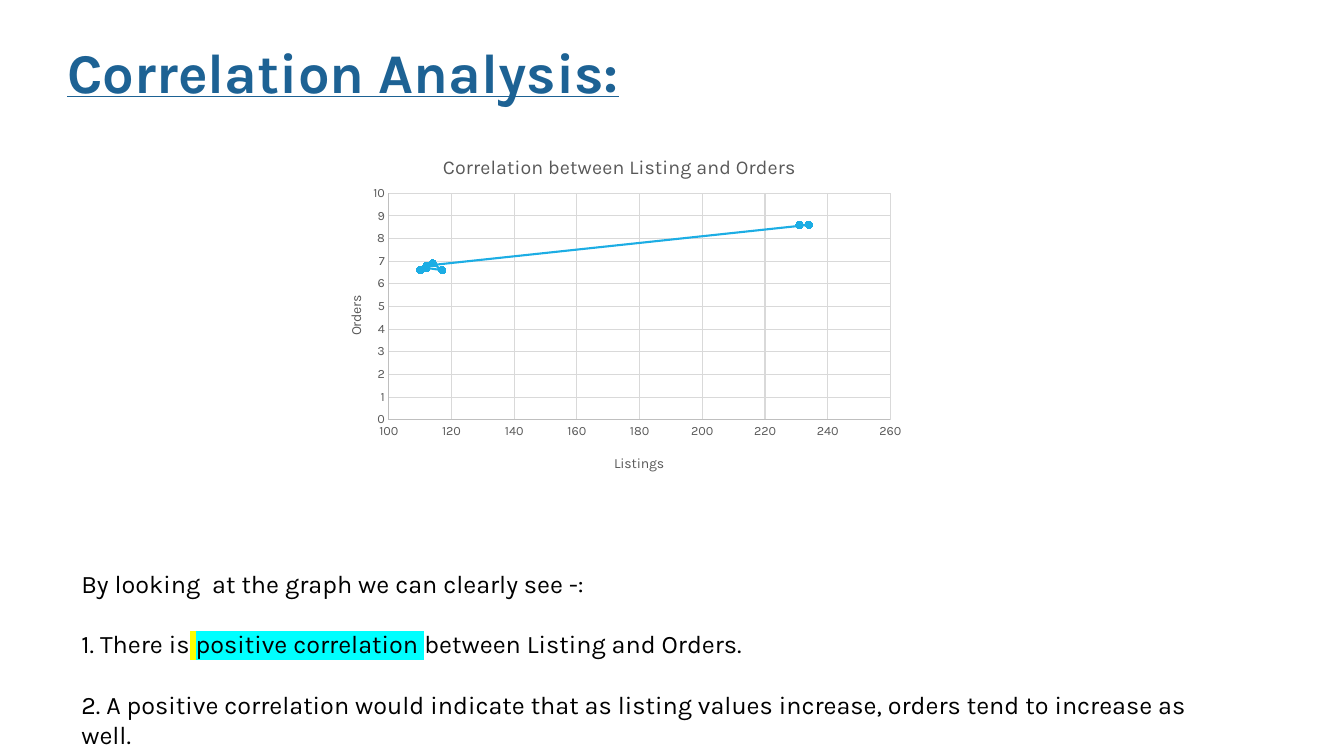
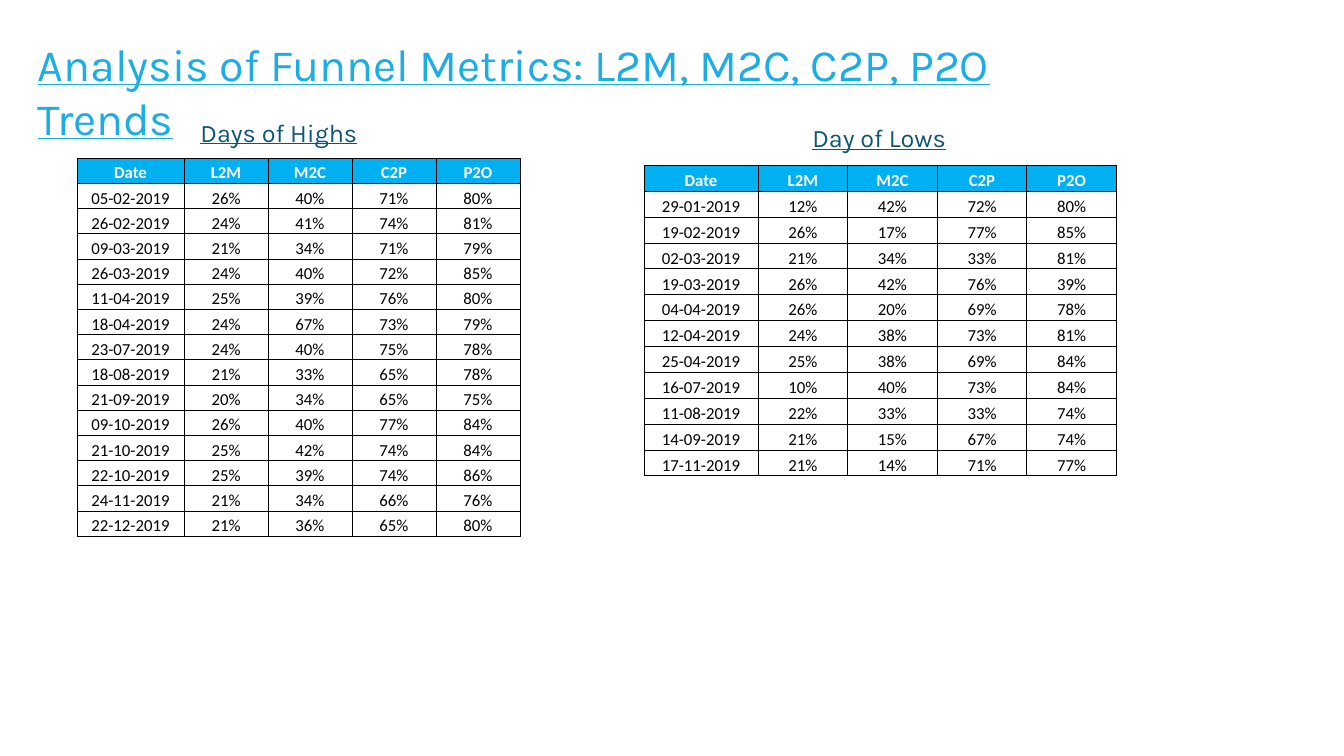
from dataclasses import dataclass

from lxml import etree
from pptx import Presentation
from pptx.chart.data import XyChartData
from pptx.dml.color import RGBColor
from pptx.enum import chart as kinds, text
from pptx.oxml import ns
from pptx.util import Pt


@dataclass(frozen=True)
class Theme:
    font: str = "Karla"
    grid_font: str = "Calibri"
    black: str = "000000"
    white: str = "FFFFFF"
    navy: str = "1D6294"
    sky: str = "1CADE4"
    teal: str = "0E5772"
    head: str = "00B0F0"
    gray: str = "595959"
    axis: str = "BFBFBF"
    grid: str = "D9D9D9"
    yellow: str = "FFFF00"
    cyan: str = "00FFFF"
    body: int = 18
    cell: int = 12
    chart: int = 14
    label: int = 10
    tick: int = 9


T = Theme()
SIZE = (960, 540)

# Each title: text, box, size, colour, bold
TITLES = [
    ("Correlation Analysis:", (41, 23, 467, 78), 40, T.navy, True),
    ("Analysis of Funnel Metrics: L2M, M2C, C2P, P2O Trends",
     (20, 23, 777, 46), 32, T.sky, False),
]

# Each paragraph is a list of (text, highlight)
NOTES = [
    [("By looking  at the graph we can clearly see -:", None)],
    [("1. There is", None), (" ", T.yellow),
     ("positive correlation ", T.cyan),
     ("between Listing and Orders.", None)],
    [("2. A positive correlation would indicate that as listing values "
      "increase, orders tend to increase as well.", None)],
]
NOTE_BOX = (51, 402.5, 831, 117)

POINTS = [(112, 6.7), (117, 6.6), (114, 6.9), (110, 6.6), (112, 6.8),
          (234, 8.6), (231, 8.6)]
CHART_BOX = (229, 95, 424, 253)
CHART_TITLE = ("Correlation between Listing and Orders", (0.2, 0.05))
# Each axis: title, its place in the chart, lowest, highest, step
AXES = [
    ("Listings", (0.49, 0.9), 100, 260, 20),
    ("Orders", (0.04, 0.45), 0, 10, 1),
]
PLOT = (0.115, 0.17, 0.845, 0.64)

HEADS = ["Date", "L2M", "M2C", "C2P", "P2O"]
HIGHS = [
    ("05-02-2019", 26, 40, 71, 80),
    ("26-02-2019", 24, 41, 74, 81),
    ("09-03-2019", 21, 34, 71, 79),
    ("26-03-2019", 24, 40, 72, 85),
    ("11-04-2019", 25, 39, 76, 80),
    ("18-04-2019", 24, 67, 73, 79),
    ("23-07-2019", 24, 40, 75, 78),
    ("18-08-2019", 21, 33, 65, 78),
    ("21-09-2019", 20, 34, 65, 75),
    ("09-10-2019", 26, 40, 77, 84),
    ("21-10-2019", 25, 42, 74, 84),
    ("22-10-2019", 25, 39, 74, 86),
    ("24-11-2019", 21, 34, 66, 76),
    ("22-12-2019", 21, 36, 65, 80),
]
LOWS = [
    ("29-01-2019", 12, 42, 72, 80),
    ("19-02-2019", 26, 17, 77, 85),
    ("02-03-2019", 21, 34, 33, 81),
    ("19-03-2019", 26, 42, 76, 39),
    ("04-04-2019", 26, 20, 69, 78),
    ("12-04-2019", 24, 38, 73, 81),
    ("25-04-2019", 25, 38, 69, 84),
    ("16-07-2019", 10, 40, 73, 84),
    ("11-08-2019", 22, 33, 33, 74),
    ("14-09-2019", 21, 15, 67, 74),
    ("17-11-2019", 21, 14, 71, 77),
]
# Each table: caption, caption box, rows, left, top, date width, width, height
TABLES = [
    ("Days of Highs", (119, 80, 160.5, 29), HIGHS, 55, 113, 76.5, 60, 18),
    ("Day of Lows", (541, 84, 174, 29), LOWS, 460, 118, 81.5, 64, 18.5),
]


def pts(nums):
    return [Pt(n) for n in nums]


def paint(font, size, color, name=T.font, bold=False, line=False):
    font.size, font.name = Pt(size), name
    font.bold, font.underline = bold, line
    font.color.rgb = RGBColor.from_string(color)


def stroke(line, color, width):
    line.color.rgb = RGBColor.from_string(color)
    line.width = Pt(width)


def fill(part, color):
    part.fill.solid()
    part.fill.fore_color.rgb = RGBColor.from_string(color)


def add_box(slide, box):
    frame = slide.shapes.add_textbox(*pts(box)).text_frame
    frame.word_wrap = True
    frame.auto_size = text.MSO_AUTO_SIZE.SHAPE_TO_FIT_TEXT
    return frame


def add_line(slide, words, box, size, color, bold=False, align=None):
    """Add one underlined heading."""
    para = add_box(slide, box).paragraphs[0]
    para.text, para.alignment = words, align
    paint(para.runs[0].font, size, color, bold=bold, line=True)


def mark(run, color):
    """Highlight a run whose colour is already set."""
    glow = etree.Element(ns.qn("a:highlight"))
    etree.SubElement(glow, ns.qn("a:srgbClr"), val=color)
    run.font._element.find(ns.qn("a:solidFill")).addnext(glow)


def add_notes(slide):
    frame = add_box(slide, NOTE_BOX)
    for i, parts in enumerate(NOTES):
        para = frame.add_paragraph() if i else frame.paragraphs[0]
        para.space_before = Pt(21.5 if i else 0)
        for words, color in parts:
            run = para.add_run()
            run.text = words
            paint(run.font, T.body, T.black)
            if color:
                mark(run, color)


def place(node, spot, inner=False):
    """Fix the layout of a chart part, in fractions of the chart."""
    old = node.find(ns.qn("c:layout"))
    if old is not None:
        node.remove(old)
    layout = etree.Element(ns.qn("c:layout"))
    manual = etree.SubElement(layout, ns.qn("c:manualLayout"))
    if inner:
        etree.SubElement(manual, ns.qn("c:layoutTarget"), val="inner")
    for key in ("xMode", "yMode"):
        etree.SubElement(manual, ns.qn("c:" + key), val="edge")
    for key, val in zip("xywh", spot):
        etree.SubElement(manual, ns.qn("c:" + key), val=str(val))
    node.insert(0 if inner else 1, layout)


def name_part(title, words, spot, size):
    title.text_frame.text = words
    paint(title.text_frame.paragraphs[0].runs[0].font, size, T.gray)
    place(title._element, spot)


def add_graph(slide):
    data = XyChartData()
    series = data.add_series("Series 1")
    for x, y in POINTS:
        series.add_data_point(x, y)
    chart = slide.shapes.add_chart(
        kinds.XL_CHART_TYPE.XY_SCATTER_SMOOTH, *pts(CHART_BOX), data).chart
    paint(chart.font, T.label, T.black)
    chart.has_legend = False
    name_part(chart.chart_title, *CHART_TITLE, T.chart)

    axes = (chart.category_axis, chart.value_axis)
    for axis, (words, spot, low, high, step) in zip(axes, AXES):
        axis.minimum_scale, axis.maximum_scale = low, high
        axis.major_unit = step
        axis.major_tick_mark = kinds.XL_TICK_MARK.NONE
        axis.minor_tick_mark = kinds.XL_TICK_MARK.NONE
        axis.has_major_gridlines = True
        stroke(axis.major_gridlines.format.line, T.grid, 0.75)
        stroke(axis.format.line, T.axis, 0.75)
        paint(axis.tick_labels.font, T.tick, T.gray)
        name_part(axis.axis_title, words, spot, T.label)

    plot = chart.plots[0]
    plot.vary_by_categories = False
    curve = plot.series[0]
    curve.smooth = True
    stroke(curve.format.line, T.sky, 1.5)
    curve.marker.style = kinds.XL_MARKER_STYLE.CIRCLE
    curve.marker.size = 5
    fill(curve.marker.format, T.sky)
    stroke(curve.marker.format.line, T.sky, 0.75)
    place(chart._chartSpace.find(".//" + ns.qn("c:plotArea")), PLOT, True)


def edge(cell):
    """Draw a thin black border on all four sides."""
    props = cell._tc.get_or_add_tcPr()
    for i, side in enumerate("LRTB"):
        line = etree.Element(ns.qn("a:ln" + side), w=str(Pt(0.5)))
        paper = etree.SubElement(line, ns.qn("a:solidFill"))
        etree.SubElement(paper, ns.qn("a:srgbClr"), val=T.black)
        props.insert(i, line)


def style(cell, words, head, first):
    para = cell.text_frame.paragraphs[0]
    para.text, para.alignment = words, text.PP_ALIGN.CENTER
    paint(para.runs[0].font, T.cell, T.white if head else T.black,
          T.grid_font, bold=head)
    cell.vertical_anchor = text.MSO_ANCHOR.BOTTOM
    cell.margin_left = cell.margin_right = cell.margin_top = Pt(0.7)
    cell.margin_bottom = 0
    if head or first:
        fill(cell, T.head if head else T.white)
    else:
        cell.fill.background()
    edge(cell)


def add_grid(slide, rows, left, top, date, wide, high):
    lines = [HEADS] + [[day] + [f"{n}%" for n in nums]
                       for day, *nums in rows]
    widths = [date] + [wide] * (len(HEADS) - 1)
    box = (left, top, sum(widths), high * len(lines))
    table = slide.shapes.add_table(len(lines), len(HEADS), *pts(box)).table
    table.first_row = table.horz_banding = False
    for col, width in zip(table.columns, widths):
        col.width = Pt(width)
    for r, line in enumerate(lines):
        table.rows[r].height = Pt(high)
        for c, words in enumerate(line):
            style(table.cell(r, c), words, r == 0, c == 0)


def main():
    deck = Presentation()
    deck.slide_width, deck.slide_height = pts(SIZE)
    slides = []
    for title in TITLES:
        slide = deck.slides.add_slide(deck.slide_layouts[6])
        add_line(slide, *title)
        slides.append(slide)
    graph, funnel = slides
    add_notes(graph)
    add_graph(graph)
    for words, box, *grid in TABLES:
        add_grid(funnel, *grid)
        add_line(funnel, words, box, T.body, T.teal,
                 align=text.PP_ALIGN.CENTER)
    deck.save("out.pptx")


if __name__ == "__main__":
    main()
